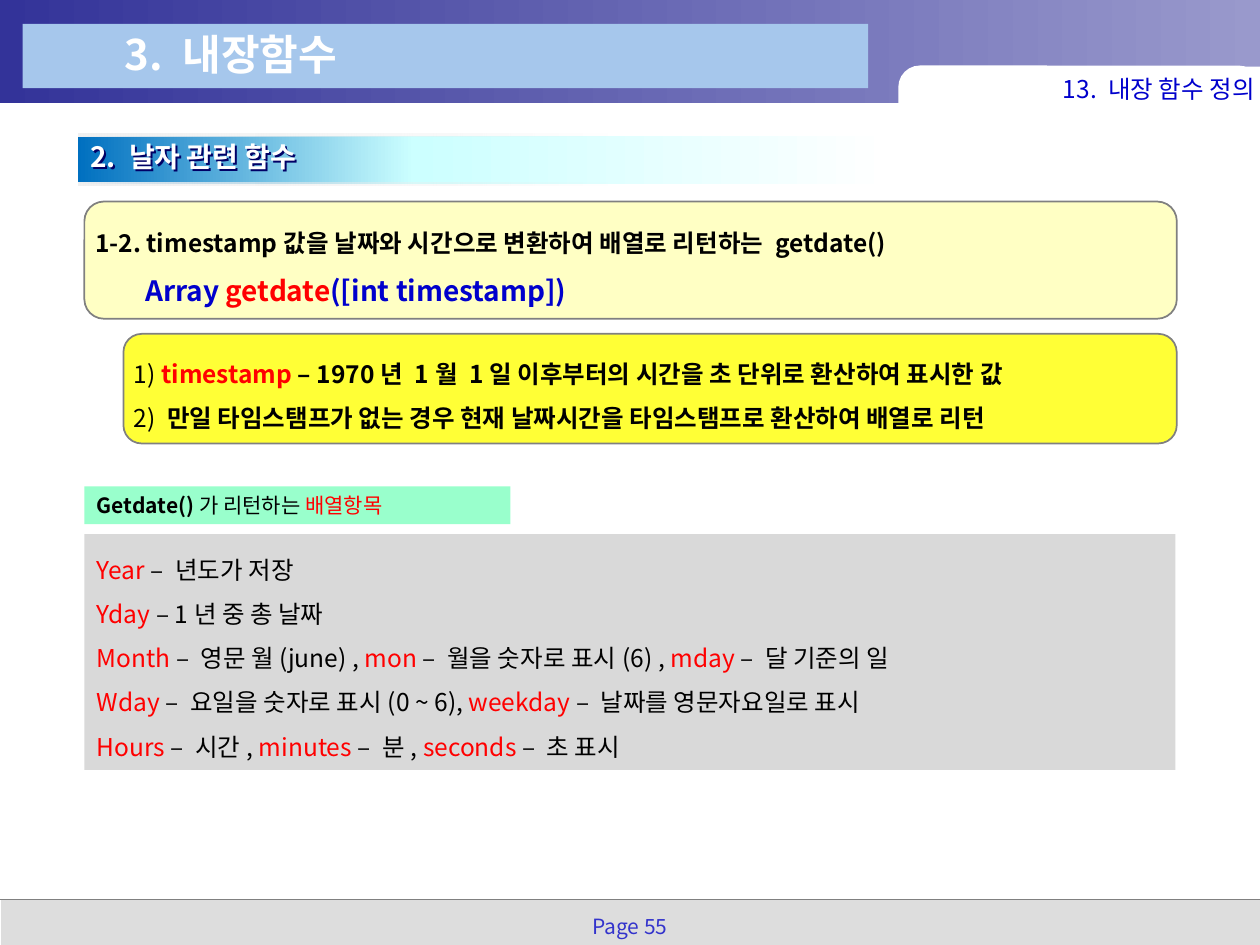
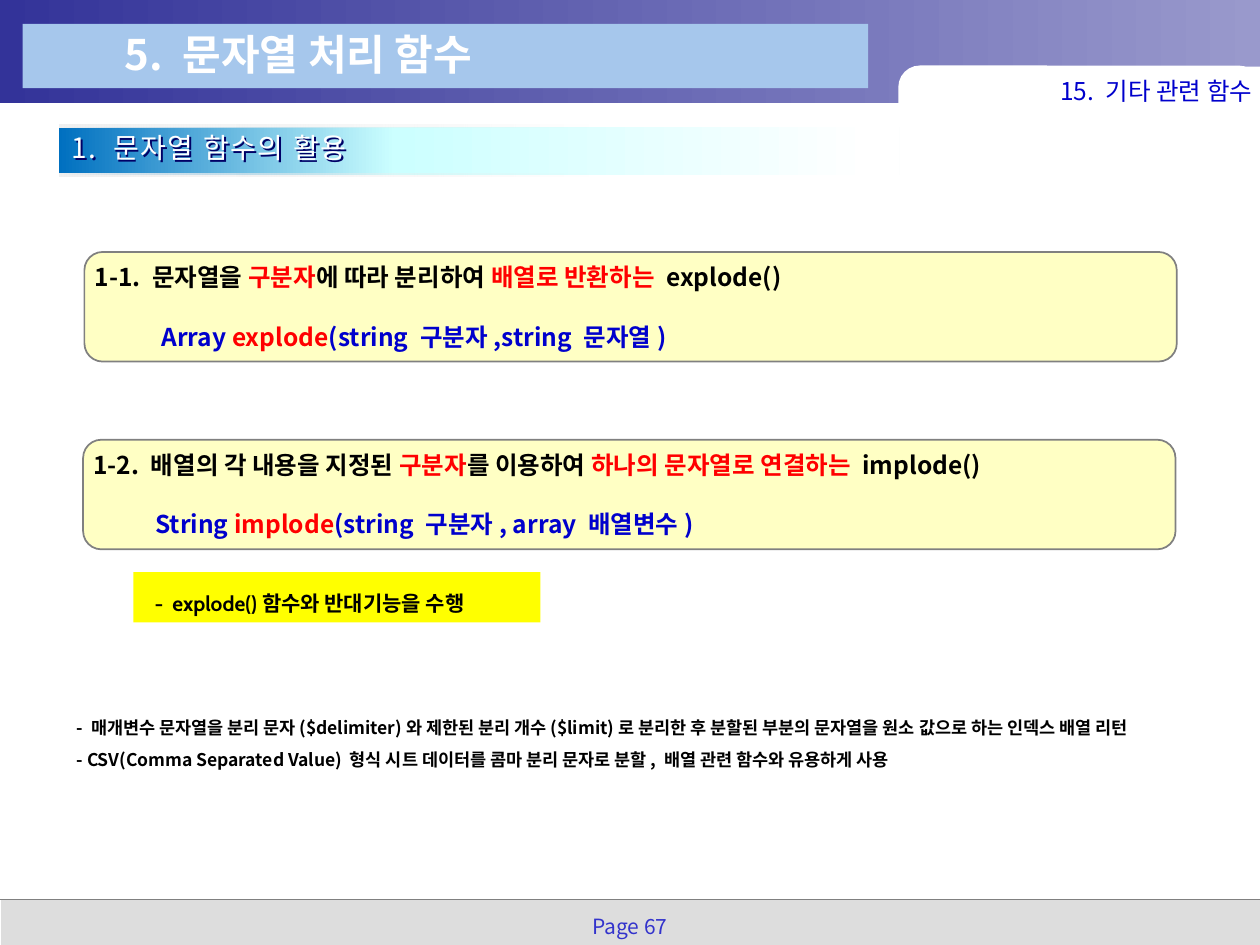
"""Builds two lecture slides on PHP date and string functions."""
from lxml.etree import SubElement
from pptx import Presentation
from pptx.dml.color import RGBColor
from pptx.enum.shapes import MSO_CONNECTOR, MSO_SHAPE
from pptx.enum.text import MSO_ANCHOR, PP_ALIGN
from pptx.oxml.ns import qn
from pptx.util import Pt

PX = 9144
FONT = "Noto Sans CJK KR"
BLACK, WHITE, RED, BLUE = "000000", "FFFFFF", "FF0000", "0000CC"
GREY, YELLOW = "808080", "FFFF00"
HEADER_FADE = [(0, "333399", 100), (100, "9999CC", 100)]
SECTION_FADE = [(0, "0070C0", 100), (40, "CCFFFF", 100), (97, WHITE, 100)]
EDGE_FADE = [(0, "F0F0F0", 100), (100, "EAEAEA", 0)]
rgb = RGBColor.from_string


def add_box(slide, at, fill=None, alpha=100, rounded=False, outline=None):
    """Add a box with a plain fill, a fade given as a list of stops, or none."""
    kind = MSO_SHAPE.ROUNDED_RECTANGLE if rounded else MSO_SHAPE.RECTANGLE
    lengths = [n * PX for n in at]
    if fill is None:
        return slide.shapes.add_textbox(*lengths)
    box = slide.shapes.add_shape(kind, *lengths)
    box.shadow.inherit = False
    if isinstance(fill, list):
        box.fill.gradient()
        box.fill.gradient_angle = 0
        stops = box.fill._xPr.find(qn("a:gradFill")).find(qn("a:gsLst"))
        for stop in list(stops):
            stops.remove(stop)
        for position, colour, opacity in fill:
            stop = SubElement(stops, qn("a:gs"), pos=str(position * 1000))
            tone = SubElement(stop, qn("a:srgbClr"), val=colour)
            SubElement(tone, qn("a:alpha"), val=str(opacity * 1000))
    else:
        box.fill.solid()
        box.fill.fore_color.rgb = rgb(fill)
        if alpha < 100:
            tone = box.fill._xPr.find(qn("a:solidFill"))[0]
            SubElement(tone, qn("a:alpha"), val=str(alpha * 1000))
    if outline:
        box.line.color.rgb = rgb(outline)
        box.line.width = Pt(1)
    else:
        box.line.fill.background()
    return box


def write(box, lines, size, bold=False, spacing=None, tight=False, align=PP_ALIGN.LEFT):
    """Fill a box with lines of (text, colour[, bold]) runs and return its paragraphs."""
    frame = box.text_frame
    frame.word_wrap = True
    frame.vertical_anchor = MSO_ANCHOR.MIDDLE if tight else MSO_ANCHOR.TOP
    if tight:
        frame.margin_left = frame.margin_right = 4 * PX
        frame.margin_top = frame.margin_bottom = 4 * PX
    for index, line in enumerate(lines):
        paragraph = frame.add_paragraph() if index else frame.paragraphs[0]
        paragraph.alignment = align
        if spacing:
            paragraph.line_spacing = spacing
        for text, colour, *weight in line:
            run = paragraph.add_run()
            run.text = text
            run.font.size = Pt(size)
            run.font.bold = weight[0] if weight else bold
            run.font.color.rgb = rgb(colour)
            run.font.name = FONT
            SubElement(run.font._element, qn("a:ea"), typeface=FONT)
    return frame.paragraphs


prs = Presentation()
prs.slide_width, prs.slide_height = 1000 * PX, 750 * PX

pages = [
    ("3. 내장함수", "13. 내장 함수 정의", (730, 54), "2. 날자 관련 함수", (62, 106), True, 55),
    ("5. 문자열 처리 함수", "15. 기타 관련 함수", (728, 56), "1. 문자열 함수의 활용", (47, 99), False, 67),
]
slides = []
for title, chapter, chapter_at, section, (left, top), section_bold, number in pages:
    slide = prs.slides.add_slide(prs.slide_layouts[6])
    slides.append(slide)
    add_box(slide, (1, 714, 999, 39), "DDDDDD")
    add_box(slide, (0, 0, 1000, 82), HEADER_FADE)
    footer_rule = slide.shapes.add_connector(MSO_CONNECTOR.STRAIGHT, 0, 714 * PX, 1000 * PX, 714 * PX)
    footer_rule.line.color.rgb = rgb(GREY)
    footer_rule.line.width = Pt(1)
    SubElement(footer_rule._element.spPr, qn("a:effectLst"))
    chapter_tab = add_box(slide, (713, 52, 287, 59), WHITE, rounded=True)
    chapter_tab.adjustments[0] = 0.29
    add_box(slide, (910, 53, 90, 24), WHITE)
    add_box(slide, (18, 19, 671, 51), "A6C7EC")

    write(add_box(slide, (455, 722, 90, 28)), [[(f"Page {number}", "3333CC")]], 12,
          spacing=0.9, align=PP_ALIGN.CENTER)
    write(add_box(slide, (89, 18, 497, 50)), [[(title, WHITE)]], 24, bold=True)
    write(add_box(slide, (*chapter_at, 270, 32)), [[(chapter, BLUE)]], 14,
          tight=True, align=PP_ALIGN.RIGHT)

    add_box(slide, (left, top + 2, 667, 38), SECTION_FADE)
    for edge in (top, top + 39):
        add_box(slide, (left, edge, 421, 2), EDGE_FADE)
    section_title = add_box(slide, (left, top, 670, 37))
    heading, = write(section_title, [[(section, WHITE)]], 16, section_bold)
    if not section_bold:
        heading.runs[0].font._element.set("spc", "100")
    effects = SubElement(section_title._element.spPr, qn("a:effectLst"))
    shadow = SubElement(effects, qn("a:outerShdw"), dist="20000", dir="2700000")
    SubElement(shadow, qn("a:srgbClr"), val="000066")

dates, strings = slides

getdate = write(add_box(dates, (67, 160, 867, 93), YELLOW, 23, True, GREY), [
    [("1-2. timestamp값을 날짜와 시간으로 변환하여 배열로 리턴하는 getdate()", BLACK)],
    [("Array ", BLUE), ("getdate", RED), ("([int timestamp])", BLUE)],
], 14, bold=True, spacing=1.5, tight=True)
getdate[1]._p.get_or_add_pPr().set("marL", str(40 * PX))
for run in getdate[1].runs:
    run.font.size = Pt(16)

write(add_box(dates, (98, 265, 836, 87), YELLOW, 79, True, GREY), [
    [("1) ", BLACK, False), ("timestamp ", RED),
     ("– 1970년 1월 1일 이후부터의 시간을 초 단위로 환산하여 표시한 값", BLACK)],
    [("2) ", BLACK, False),
     ("만일 타임스탬프가 없는 경우 현재 날짜시간을 타임스탬프로 환산하여 배열로 리턴", BLACK)],
], 14, bold=True, spacing=1.5, tight=True)

write(add_box(dates, (67, 386, 338, 30), "99FFCC"),
      [[("Getdate()", BLACK, True), ("가 리턴하는 ", BLACK), ("배열항목", RED)]], 12)

array_items = [
    [("Year", " – 년도가 저장")],
    [("Yday", " – 1년 중 총 날짜")],
    [("Month", " – 영문 월(june) , "), ("mon", " – 월을 숫자로 표시(6) , "), ("mday", " – 달 기준의 일")],
    [("Wday", " – 요일을 숫자로 표시(0 ~ 6), "), ("weekday", " – 날짜를 영문자요일로 표시")],
    [("Hours", " – 시간, "), ("minutes", " – 분, "), ("seconds", " – 초 표시")],
]
write(add_box(dates, (67, 424, 866, 187), "D9D9D9"),
      [[run for key, meaning in row for run in ((key, RED), (meaning, BLACK))] for row in array_items],
      14, spacing=1.5)

functions = [
    ((67, 200), 53, ["1-1. 문자열을 ", "구분자", "에 따라 분리하여 ", "배열로 반환하는 ", "explode()"],
     ["Array ", "explode", "(string 구분자,string 문자열)"]),
    ((66, 349), 49, ["1-2. 배열의 각 내용을 지정된 ", "구분자", "를 이용하여 ", "하나의 문자열로 연결하는 ", "implode()"],
     ["String ", "implode", "(string 구분자, array 배열변수)"]),
]
for corner, indent, purpose, signature in functions:
    _, syntax = write(add_box(strings, (*corner, 867, 87), YELLOW, 23, True, GREY), [
        list(zip(purpose, (BLACK, RED, BLACK, RED, BLACK))),
        list(zip(signature, (BLUE, RED, BLUE))),
    ], 14, bold=True, tight=True)
    syntax.space_before = Pt(17)
    syntax._p.get_or_add_pPr().set("marL", str(indent * PX))

remark, = write(add_box(strings, (106, 454, 323, 40), YELLOW),
                [[("-\texplode()함수와 반대기능을 수행", BLACK)]], 12, bold=True, spacing=1.5)
remark.runs[0].font.name = "Cabin"
remark_layout = remark._p.get_or_add_pPr()
remark_layout.set("marL", str(21 * PX))
remark_layout.set("indent", str(-14 * PX))

usage = add_box(strings, (51, 556, 928, 61))
write(usage, [
    [("- 매개변수 문자열을 분리 문자($delimiter)와 제한된 분리 개수($limit)로 분리한 후 "
      "분할된 부분의 문자열을 원소 값으로 하는 인덱스 배열 리턴", BLACK)],
    [("- CSV(Comma Separated Value) 형식 시트 데이터를 콤마 분리 문자로 분할, "
      "배열 관련 함수와 유용하게 사용", BLACK)],
], 10, bold=True, spacing=1.5)
usage.text_frame.word_wrap = False

prs.save("out.pptx")
